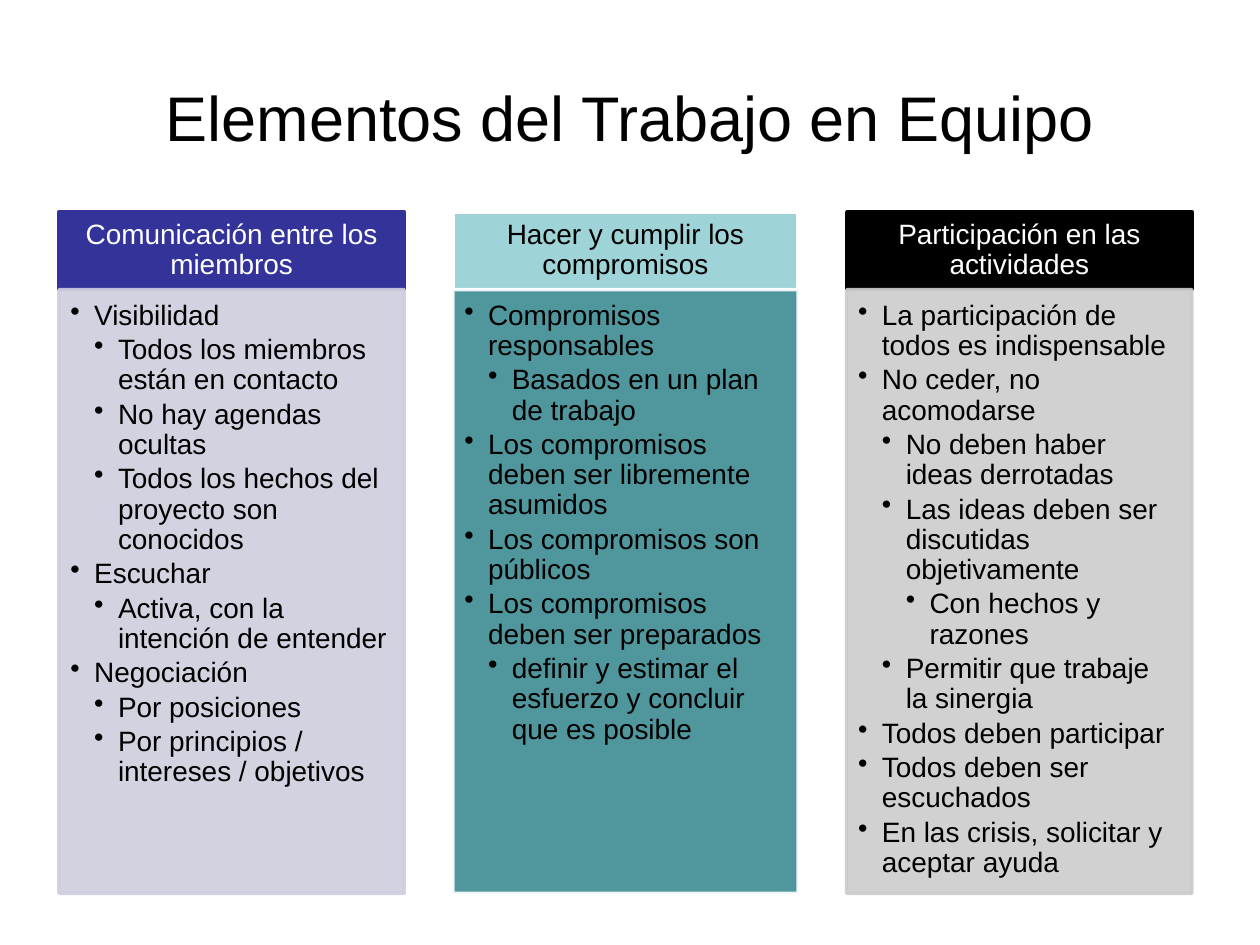
from lxml import etree
from pptx import Presentation
from pptx import util as u
from pptx.dml.color import RGBColor
from pptx.enum import shapes, text
from pptx.oxml.ns import qn

HUES = {
    "black": "000000", "white": "FFFFFF", "blue": "333399", "lilac": "CECEDE",
    "aqua": "9ED3D7", "teal": "3C8C93", "gray": "CCCCCC",
}
STEP = 0.48  # indent per list level, cm

# Each column: title, title fill, title ink, body fill, edges, (level, item) list
COLS = [
    ("Comunicación entre los miembros", "blue", "white", "lilac", ("blue", "lilac"), [
        (1, "Visibilidad"),
        (2, "Todos los miembros están en contacto"),
        (2, "No hay agendas ocultas"),
        (2, "Todos los hechos del proyecto son conocidos"),
        (1, "Escuchar"),
        (2, "Activa, con la intención de entender"),
        (1, "Negociación"),
        (2, "Por posiciones"),
        (2, "Por principios / intereses / objetivos"),
    ]),
    ("Hacer y cumplir los compromisos", "aqua", "black", "teal", ("white", "white"), [
        (1, "Compromisos responsables"),
        (2, "Basados en un plan de trabajo"),
        (1, "Los compromisos deben ser libremente asumidos"),
        (1, "Los compromisos son públicos"),
        (1, "Los compromisos deben ser preparados"),
        (2, "definir y estimar el esfuerzo y concluir que es posible"),
    ]),
    ("Participación en las actividades", "black", "white", "gray", ("black", "gray"), [
        (1, "La participación de todos es indispensable"),
        (1, "No ceder, no acomodarse"),
        (2, "No deben haber ideas derrotadas"),
        (2, "Las ideas deben ser discutidas objetivamente"),
        (3, "Con hechos y razones"),
        (2, "Permitir que trabaje la sinergia"),
        (1, "Todos deben participar"),
        (1, "Todos deben ser escuchados"),
        (1, "En las crisis, solicitar y aceptar ayuda"),
    ]),
]


def hue(name):
    return RGBColor.from_string(HUES[name])


def fade(fill, alpha):
    """Set the opacity of a solid fill, in percent."""
    tone = fill._xPr.find(".//" + qn("a:srgbClr"))
    etree.SubElement(tone, qn("a:alpha"), val=str(alpha * 1000))


def panel(slide, box, fill, edge, alpha=100):
    rect = slide.shapes.add_shape(shapes.MSO_SHAPE.RECTANGLE, *map(u.Cm, box))
    rect.shadow.inherit = False
    rect.fill.solid()
    rect.fill.fore_color.rgb = hue(fill)
    rect.line.color.rgb = hue(edge)
    rect.line.width = u.Pt(2)
    if alpha < 100:
        fade(rect.fill, alpha)
        fade(rect.line.fill, alpha)
    return rect


def bullet(para, level):
    props = para._p.get_or_add_pPr()
    props.set("marL", str(u.Cm(STEP * level)))
    props.set("indent", str(-u.Cm(STEP)))
    etree.SubElement(props, qn("a:buChar"), char="•")
    para.level = level - 1


def write(shape, items, size=16, ink="black", pads=(0.25, 0.13, 0.25, 0.13),
          align="CENTER", anchor="MIDDLE", lines=0.9, after=0):
    """Fill a shape with (level, text) items; level 0 has no bullet."""
    frame = shape.text_frame
    frame.word_wrap = True
    frame.vertical_anchor = getattr(text.MSO_ANCHOR, anchor)
    (frame.margin_left, frame.margin_top,
     frame.margin_right, frame.margin_bottom) = map(u.Cm, pads)
    for i, (level, words) in enumerate(items):
        para = frame.add_paragraph() if i else frame.paragraphs[0]
        para.alignment = getattr(text.PP_ALIGN, align)
        para.line_spacing = lines
        para.space_after = u.Pt(after)
        if level:
            bullet(para, level)
        run = para.add_run()
        run.text = words
        run.font.name = "Arial"
        run.font.size = u.Pt(size)
        run.font.color.rgb = hue(ink)


def heading(slide, box, words):
    label = slide.shapes.add_textbox(*map(u.Cm, box))
    write(label, [(0, words)], size=36, lines=1.0)


def column(slide, box, title, fill, ink, tint, edges, items):
    left, top, width, height = box
    head = 1.57
    cap = panel(slide, (left, top, width, head), fill, edges[0])
    write(cap, [(0, title)], ink=ink, pads=(0.3, 0.17, 0.3, 0.17))
    body = panel(slide, (left, top + head, width, height - head), tint, edges[1], 90)
    write(body, items, pads=(0.23, 0.23, 0.3, 0.35),
          align="LEFT", anchor="TOP", after=2.4)


def main():
    deck = Presentation()
    deck.slide_width, deck.slide_height = u.Cm(25.4), u.Cm(19.05)
    slide = deck.slides.add_slide(deck.slide_layouts[6])
    heading(slide, (1.27, 0.76, 22.86, 3.18), "Elementos del Trabajo en Equipo")
    for i, parts in enumerate(COLS):
        column(slide, (1.19 + 7.94 * i, 4.27, 6.96, 13.74), *parts)
    deck.save("out.pptx")


if __name__ == "__main__":
    main()
